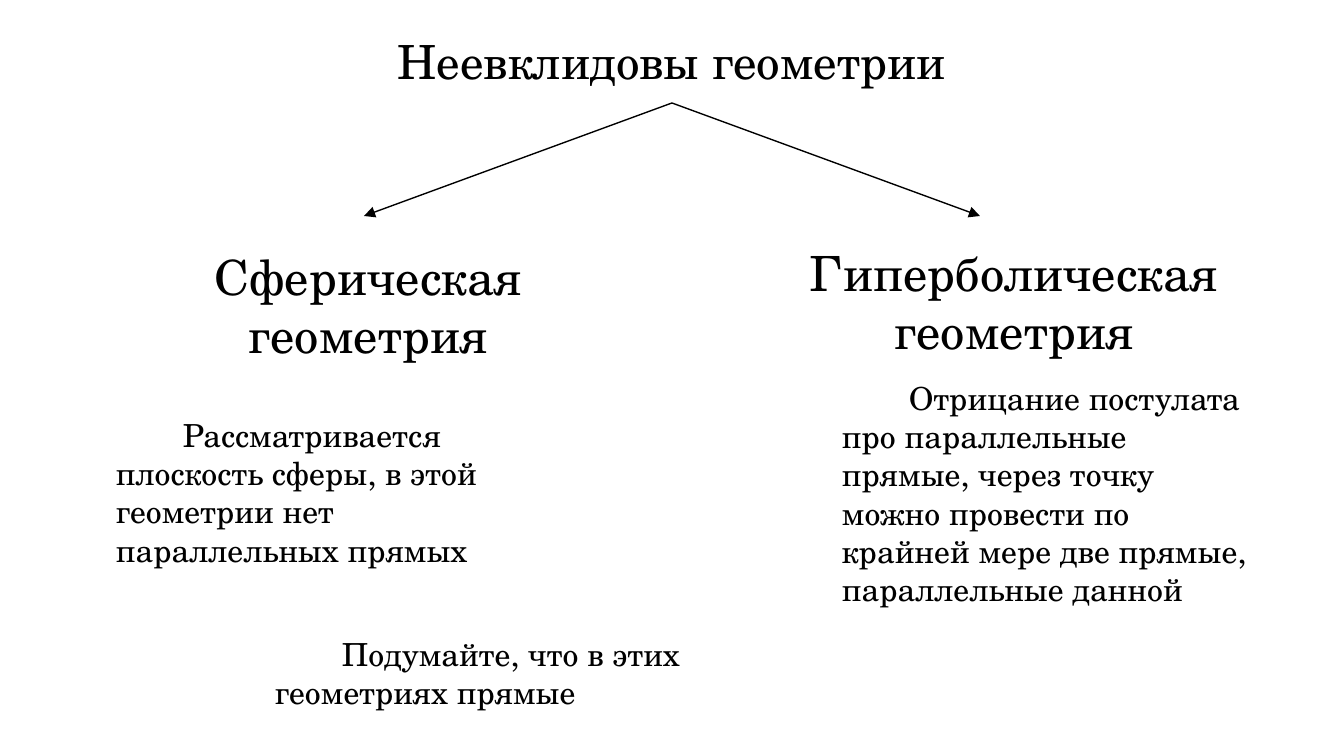
from dataclasses import dataclass

from lxml.etree import SubElement
from pptx import Presentation
from pptx.dml.color import RGBColor
from pptx.enum.shapes import MSO_CONNECTOR
from pptx.enum.text import MSO_ANCHOR, MSO_AUTO_SIZE, PP_ALIGN
from pptx.oxml.ns import qn
from pptx.util import Pt

PX = 914400 / 134.4


@dataclass(frozen=True)
class Theme:
    font: str = "TeX Gyre Schola"
    ink: RGBColor = RGBColor(0, 0, 0)
    paper: RGBColor = RGBColor(255, 255, 255)
    title: float = 25.2
    heading: float = 26
    body: float = 17
    line: float = 0.75


THEME = Theme()
BOTTOM = 2
INSET = 13
INDENT = 67

BRANCHES = [
    {
        "arrow_tip": (364, 216),
        "heading": ("Сферическая геометрия", (148, 234, 441, 145)),
        "body": ("Рассматривается плоскость сферы, в этой геометрии нет "
                 "параллельных прямых", (103, 403, 441, 181)),
    },
    {
        "arrow_tip": (980, 216),
        "heading": ("Гиперболическая геометрия", (758, 230, 513, 145)),
        "body": ("Отрицание постулата про параллельные прямые, через точку "
                 "можно провести по крайней мере две прямые, параллельные "
                 "данной", (829, 366, 441, 297)),
    },
]
QUESTION = ("Подумайте, что в этих геометриях прямые", (262, 622, 593, 103))


def px(length):
    return round(length * PX)


def write(shape, text, *, size, align=PP_ALIGN.LEFT, indent=0,
          anchor=MSO_ANCHOR.TOP, fit=MSO_AUTO_SIZE.NONE):
    frame = shape.text_frame
    frame.word_wrap = True
    frame.auto_size = fit
    frame.vertical_anchor = anchor
    frame.margin_left = frame.margin_right = px(INSET)
    frame.margin_top = frame.margin_bottom = px(INSET)
    para = frame.paragraphs[0]
    para.alignment = align
    if indent:
        properties = para._p.get_or_add_pPr()
        properties.set("marL", "0")
        properties.set("indent", str(px(indent)))
    span = para.add_run()
    span.text = text
    span.font.name = THEME.font
    span.font.size = Pt(size)
    span.font.color.rgb = THEME.ink


def add_title(slide, text, place):
    title = slide.shapes.title
    title.left, title.top, title.width, title.height = map(px, place)
    write(title, text, size=THEME.title, align=PP_ALIGN.CENTER,
          anchor=MSO_ANCHOR.MIDDLE)
    return title


def add_text(slide, text, place, **text_format):
    box = slide.shapes.add_textbox(*map(px, place))
    write(box, text, fit=MSO_AUTO_SIZE.SHAPE_TO_FIT_TEXT, **text_format)


def add_arrow(slide, source, tip):
    """Draw an arrow from the bottom of the source shape to the tip."""
    x, y = map(px, tip)
    arrow = slide.shapes.add_connector(MSO_CONNECTOR.STRAIGHT, x, y, x, y)
    arrow.begin_connect(source, BOTTOM)
    arrow.line.color.rgb = THEME.ink
    arrow.line.width = Pt(THEME.line)
    SubElement(arrow.line._get_or_add_ln(), qn("a:tailEnd"), type="triangle")
    SubElement(arrow._element.spPr, qn("a:effectLst"))


def main():
    deck = Presentation()
    deck.slide_width, deck.slide_height = px(1344), px(756)
    slide = deck.slides.add_slide(deck.slide_layouts[5])
    slide.background.fill.solid()
    slide.background.fill.fore_color.rgb = THEME.paper

    title = add_title(slide, "Неевклидовы геометрии", (46, 19, 1252, 84))
    for branch in BRANCHES:
        add_arrow(slide, title, branch["arrow_tip"])
        add_text(slide, *branch["heading"], size=THEME.heading,
                 align=PP_ALIGN.CENTER)
        add_text(slide, *branch["body"], size=THEME.body, indent=INDENT)
    add_text(slide, *QUESTION, size=THEME.body, indent=INDENT)

    deck.save("out.pptx")


if __name__ == "__main__":
    main()
